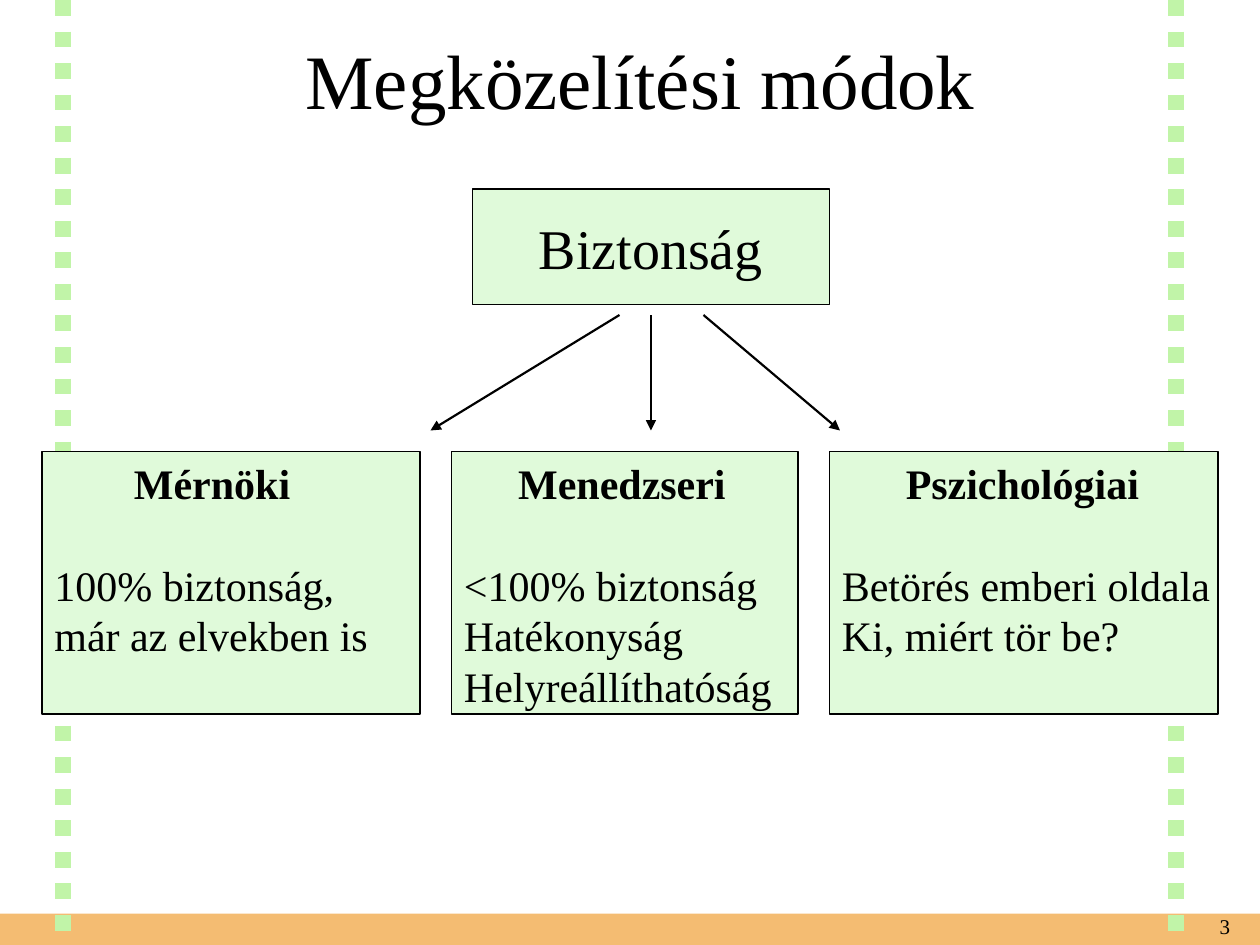
from lxml import etree
from pptx import Presentation
from pptx.dml.color import RGBColor
from pptx.enum.dml import MSO_LINE
from pptx.enum.shapes import MSO_CONNECTOR, MSO_SHAPE
from pptx.enum.text import MSO_ANCHOR, PP_ALIGN
from pptx.oxml.ns import qn
from pptx.util import Pt

RECT = MSO_SHAPE.RECTANGLE
LINE = MSO_CONNECTOR.STRAIGHT
DOTS = MSO_LINE.ROUND_DOT
TOP, MIDDLE = MSO_ANCHOR.TOP, MSO_ANCHOR.MIDDLE
LEFT, CENTER, RIGHT = PP_ALIGN.LEFT, PP_ALIGN.CENTER, PP_ALIGN.RIGHT

THEME = {
    "font": "Times New Roman",
    "ink": RGBColor(0x00, 0x00, 0x00),
    "box": RGBColor(0xE0, 0xFA, 0xDA),
    "band": RGBColor(0xF4, 0xBC, 0x72),
    "dots": RGBColor(0xC1, 0xF4, 0xA8),
    "title": 44, "root": 32, "body": 24, "page": 12,
}

deck = Presentation()
deck.slide_width, deck.slide_height = Pt(720), Pt(540)
slide = deck.slides.add_slide(deck.slide_layouts[5])
shapes = slide.shapes


def write(para, text, size, align, bold=False):
    para.alignment = align
    run = para.add_run()
    run.text = text
    run.font.name = THEME["font"]
    run.font.size = Pt(size)
    run.font.bold = bold
    run.font.color.rgb = THEME["ink"]


def link(x1, y1, x2, y2, color, width):
    line = shapes.add_connector(LINE, Pt(x1), Pt(y1), Pt(x2), Pt(y2))
    line.line.color.rgb = color
    line.line.width = Pt(width)
    etree.SubElement(line._element.spPr, qn("a:effectLst"))
    return line


# Footer band and dotted side rails
band = shapes.add_shape(RECT, 0, Pt(522), Pt(720), Pt(18))
band.shadow.inherit = False
band.fill.solid()
band.fill.fore_color.rgb = THEME["band"]
band.line.fill.background()
for x in (36, 672):
    link(x, 0, x, 540, THEME["dots"], 9).line.dash_style = DOTS

# Title
title = shapes.title
title.left, title.top, title.width, title.height = Pt(60), 0, Pt(612), Pt(90)
title.text_frame.vertical_anchor = MIDDLE
write(title.text_frame.paragraphs[0], "Megközelítési módok", THEME["title"], CENTER)

# Boxes: left, top, width, height, heading, heading tab, lines
BOXES = [
    (270, 108, 204, 66, "Biztonság", None, []),
    (24, 258, 216, 150, "Mérnöki", 45.5,
     ["100% biztonság,", "már az elvekben is"]),
    (258, 258, 198, 150, "Menedzseri", 31,
     ["<100% biztonság", "Hatékonyság", "Helyreállíthatóság"]),
    (474, 258, 222, 150, "Pszichológiai", 36.5,
     ["Betörés emberi oldala", "Ki, miért tör be?"]),
]
PITCH = 28.9
for x, y, w, h, head, tab, lines in BOXES:
    box = shapes.add_shape(RECT, Pt(x), Pt(y), Pt(w), Pt(h))
    box.shadow.inherit = False
    box.fill.solid()
    box.fill.fore_color.rgb = THEME["box"]
    box.line.color.rgb = THEME["ink"]
    box.line.width = Pt(0.75)
    frame = box.text_frame
    frame.word_wrap = False
    para = frame.paragraphs[0]
    if tab is None:
        frame.vertical_anchor = MIDDLE
        write(para, head, THEME["root"], CENTER)
        continue
    frame.vertical_anchor = TOP
    para.line_spacing = Pt(PITCH)
    para.space_after = Pt(PITCH)
    tabs = etree.SubElement(para._p.get_or_add_pPr(), qn("a:tabLst"))
    etree.SubElement(tabs, qn("a:tab"), pos=str(Pt(tab)), algn="l")
    write(para, "\t" + head, THEME["body"], LEFT, True)
    for text in lines:
        para = frame.add_paragraph()
        para.line_spacing = Pt(PITCH)
        write(para, text, THEME["body"], LEFT)

# Arrows from the root to the three approaches
for start, end in ((354, 246), (372, 372), (402, 480)):
    arrow = link(start, 180, end, 246, THEME["ink"], 1.25)
    etree.SubElement(arrow.line._get_or_add_ln(), qn("a:tailEnd"), type="triangle")

# Page number
page = shapes.add_textbox(Pt(560), Pt(518.4), Pt(150), Pt(16)).text_frame
page.word_wrap = True
write(page.paragraphs[0], "3", THEME["page"], RIGHT)

deck.save("out.pptx")
